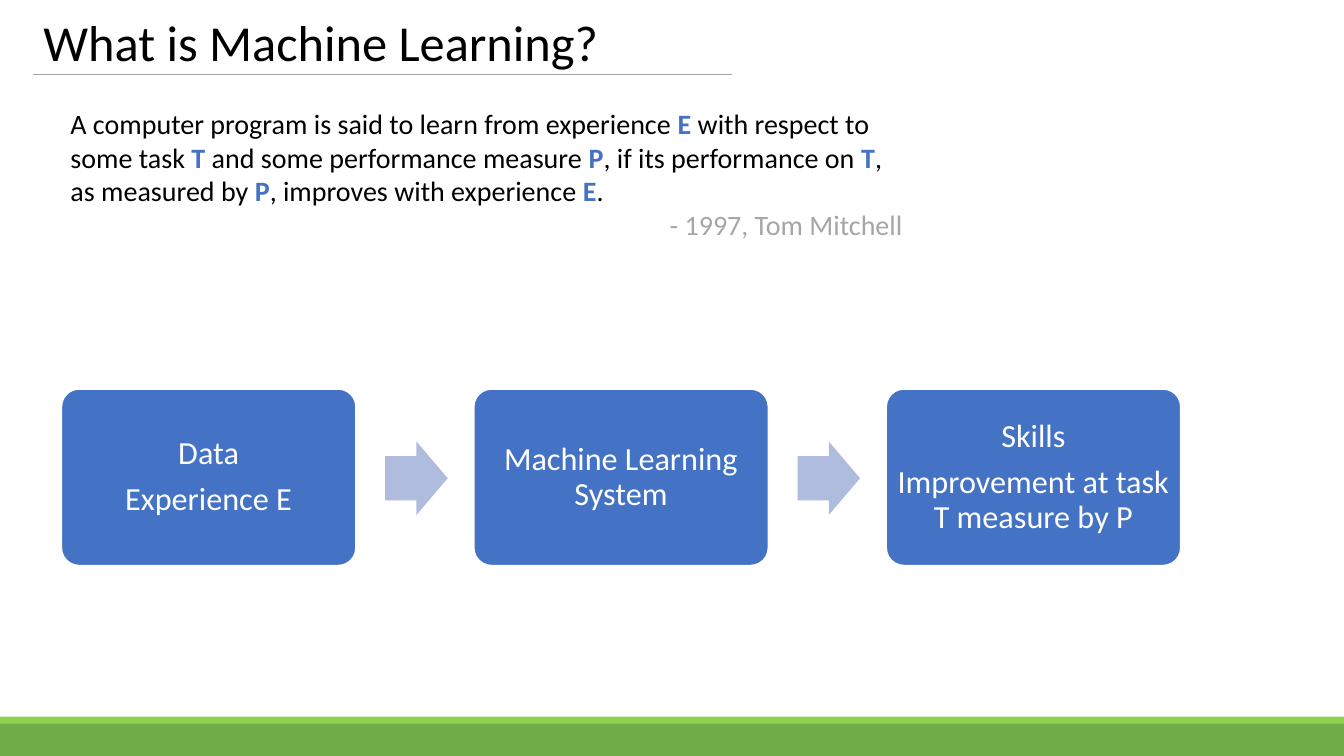
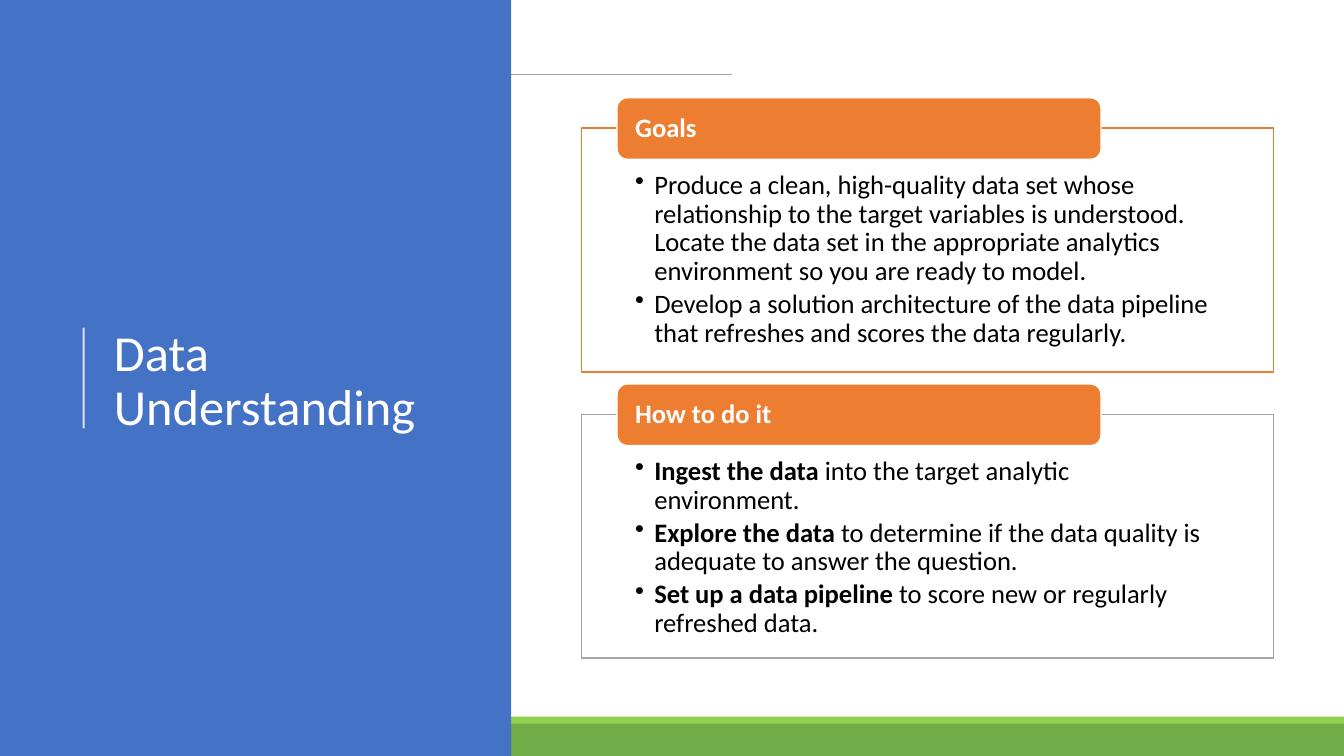
from lxml import etree
from pptx import Presentation
from pptx.dml.color import RGBColor
from pptx.enum.shapes import MSO_CONNECTOR, MSO_SHAPE
from pptx.enum.text import MSO_ANCHOR, MSO_AUTO_SIZE, PP_ALIGN
from pptx.oxml.ns import qn
from pptx.util import Inches, Pt

RECT, ROUNDED, ARROW = MSO_SHAPE.RECTANGLE, MSO_SHAPE.ROUNDED_RECTANGLE, MSO_SHAPE.RIGHT_ARROW
STRAIGHT = MSO_CONNECTOR.STRAIGHT
TOP, MIDDLE = MSO_ANCHOR.TOP, MSO_ANCHOR.MIDDLE
LEFT, CENTER, RIGHT = PP_ALIGN.LEFT, PP_ALIGN.CENTER, PP_ALIGN.RIGHT

BLACK = RGBColor(0x00, 0x00, 0x00)
WHITE = RGBColor(0xFF, 0xFF, 0xFF)
BLUE = RGBColor(0x44, 0x72, 0xC4)
PALE_BLUE = RGBColor(0xB0, 0xBC, 0xDE)
ORANGE = RGBColor(0xED, 0x7D, 0x31)
GRAY = RGBColor(0xA5, 0xA5, 0xA5)
LIGHT_GRAY = RGBColor(0xA6, 0xA6, 0xA6)
GREEN = RGBColor(0x70, 0xAD, 0x47)
LIME = RGBColor(0x92, 0xD0, 0x50)
FONT = "Calibri"


def write(shape, *paragraphs, size, color=BLACK, accent=None, bold=False, align=LEFT,
          anchor=TOP, insets=(0.1, 0.05, 0.1, 0.05), spacing=1.0, after=0, bullet=False):
    """Append paragraphs; parts between asterisks are bold, in the accent colour."""
    frame = shape.text_frame
    frame.word_wrap = True
    frame.auto_size = MSO_AUTO_SIZE.NONE
    frame.vertical_anchor = anchor
    (frame.margin_left, frame.margin_top,
     frame.margin_right, frame.margin_bottom) = map(Inches, insets)
    for text in paragraphs:
        paragraph = frame.add_paragraph() if frame.text else frame.paragraphs[0]
        paragraph.alignment = align
        paragraph.line_spacing = spacing
        paragraph.space_after = Pt(after)
        if bullet:
            props = paragraph._p.get_or_add_pPr()
            props.set("marL", str(Inches(0.19)))
            props.set("indent", str(-Inches(0.19)))
            etree.SubElement(props, qn("a:buChar"), char="•")
        for index, part in enumerate(text.split("*")):
            if part:
                emphasized = index % 2 == 1
                run = paragraph.add_run()
                run.text = part
                run.font.name = FONT
                run.font.size = Pt(size)
                run.font.bold = bold or emphasized
                run.font.color.rgb = accent if emphasized and accent else color


def draw(slide, kind, left, top, width, height, fill=None, line=None, weight=1):
    """Add a preset shape, or a straight line when there is no fill."""
    if fill is None:
        shape = slide.shapes.add_connector(
            STRAIGHT, Inches(left), Inches(top), Inches(left + width), Inches(top + height))
        etree.SubElement(shape._element.spPr, qn("a:effectLst"))
    else:
        shape = slide.shapes.add_shape(
            kind, Inches(left), Inches(top), Inches(width), Inches(height))
        shape.shadow.inherit = False
        shape.fill.solid()
        shape.fill.fore_color.rgb = fill
    if line is None:
        shape.line.fill.background()
    else:
        shape.line.color.rgb = line
        shape.line.width = Pt(weight)
    return shape


prs = Presentation()
prs.slide_width, prs.slide_height = Inches(13.33), Inches(7.5)
layout = prs.slide_layouts[5]
definition = prs.slides.add_slide(layout)
understanding = prs.slides.add_slide(layout)

# Shared layout: title place, footer bands and title rule
layout_title = layout.placeholders[0]
layout_title.left, layout_title.top = Inches(0.33), Inches(0.15)
layout_title.width, layout_title.height = Inches(12.74), Inches(0.6)
shared = [
    draw(definition, RECT, 0, 7.17, 13.33, 0.33, GREEN),
    draw(definition, RECT, 0, 7.11, 13.33, 0.07, LIME),
    draw(definition, STRAIGHT, 0.33, 0.74, 6.93, 0, line=GRAY, weight=0.5),
]
for part in shared:
    layout.shapes.element.append(part._element)

title_style = dict(size=36, anchor=MIDDLE, spacing=0.9)

# Slide 1: definition
write(definition.shapes.title, "What is Machine Learning?", **title_style)
quote = definition.shapes.add_textbox(Inches(0.6), Inches(1.01), Inches(8.45), Inches(1.45))
write(quote, "A computer program is said to learn from experience *E *with respect to some task "
      "*T* and some performance measure *P*, if its performance on *T*, as measured by *P*, "
      "improves with experience *E*.", size=20, accent=BLUE)
write(quote, "- 1997, Tom Mitchell", size=20, color=LIGHT_GRAY, align=RIGHT)

# Slide 1: process from data to skills
steps = [
    ["Data", "Experience E"],
    ["Machine Learning System"],
    ["Skills", "Improvement at task T measure by P"],
]
STEP_PITCH = 4.09
for index, lines in enumerate(steps):
    left = 0.61 + index * STEP_PITCH
    step = draw(definition, ROUNDED, left, 3.86, 2.92, 1.75, BLUE, WHITE)
    step.adjustments[0] = 0.1
    write(step, *lines, size=23, color=WHITE, align=CENTER, anchor=MIDDLE,
          insets=(0.05,) * 4, spacing=0.9, after=8)
    if index < len(steps) - 1:
        arrow = draw(definition, ARROW, left + 3.21, 4.38, 0.62, 0.73, PALE_BLUE)
        arrow.adjustments[0] = 0.6

# Slide 2: title panel, behind the title
panel = draw(understanding, RECT, 0, 0, 5.07, 7.5, BLUE)
title_bar = draw(understanding, STRAIGHT, 0.83, 3.25, 0, 1, line=WHITE, weight=1.5)
bar_color = title_bar._element.spPr.find(".//" + qn("a:srgbClr"))
etree.SubElement(bar_color, qn("a:alpha"), val="80000")
title = understanding.shapes.title
title.left, title.top = Inches(1.03), Inches(0.78)
title.width, title.height = Inches(3.69), Inches(6.02)
write(title, "Data Understanding", color=WHITE, **title_style)
understanding.shapes.element.append(title._element)

# Slide 2: cards with heading tabs
cards = [
    ("Goals", ORANGE, [
        "Produce a clean, high-quality data set whose relationship to the target variables is "
        "understood. Locate the data set in the appropriate analytics environment so you are "
        "ready to model.",
        "Develop a solution architecture of the data pipeline that refreshes and scores the "
        "data regularly.",
    ]),
    ("How to do it", GRAY, [
        "*Ingest the data* into the target analytic environment.",
        "*Explore the data* to determine if the data quality is adequate to answer the question.",
        "*Set up a data pipeline* to score new or regularly refreshed data.",
    ]),
]
CARD_PITCH = 2.84
for index, (heading, outline, points) in enumerate(cards):
    top = 0.97 + index * CARD_PITCH
    card = draw(understanding, RECT, 5.77, top + 0.3, 6.86, 2.42, WHITE, outline)
    write(card, *points, size=19, insets=(0.53, 0.43, 0.53, 0.15),
          spacing=0.9, after=3, bullet=True)
    tab = draw(understanding, ROUNDED, 6.12, top, 4.8, 0.61, ORANGE, WHITE)
    write(tab, heading, size=19, color=WHITE, bold=True, anchor=MIDDLE,
          insets=(0.15, 0, 0.15, 0), spacing=0.9, after=6.5)

prs.save("out.pptx")
